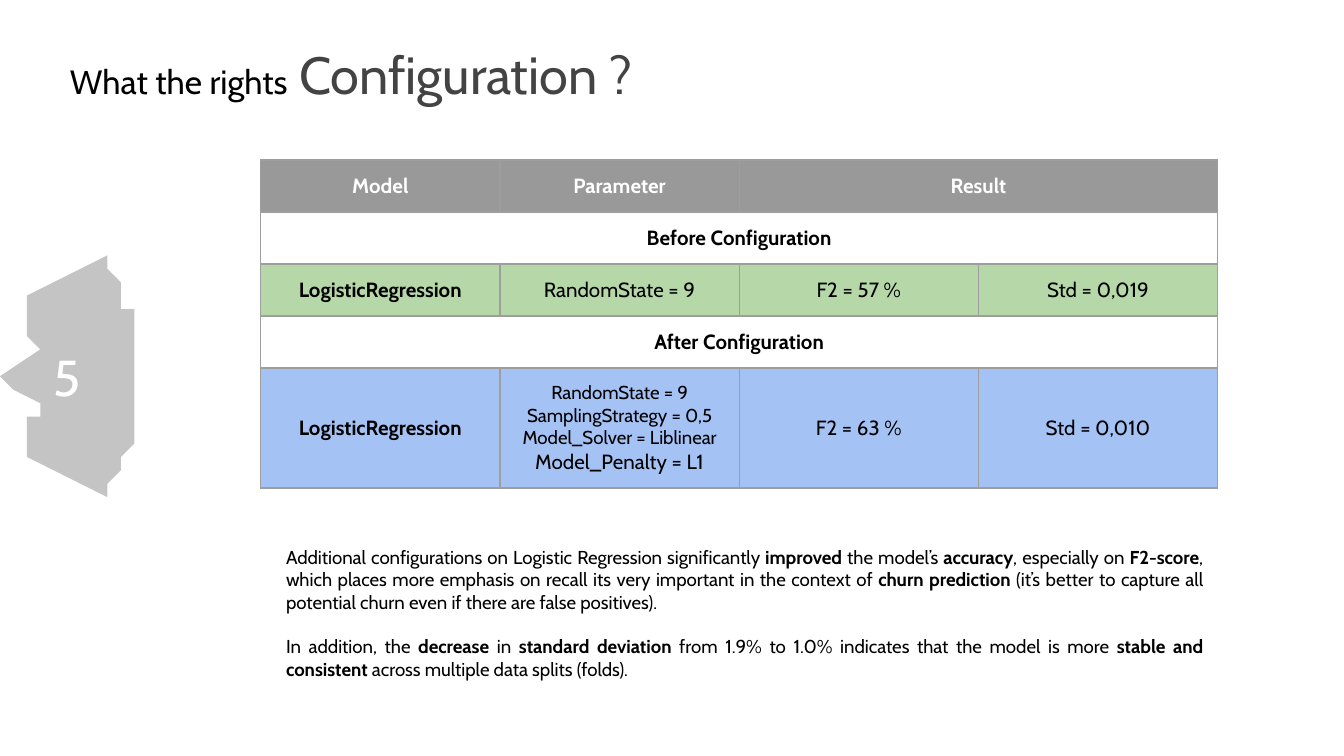
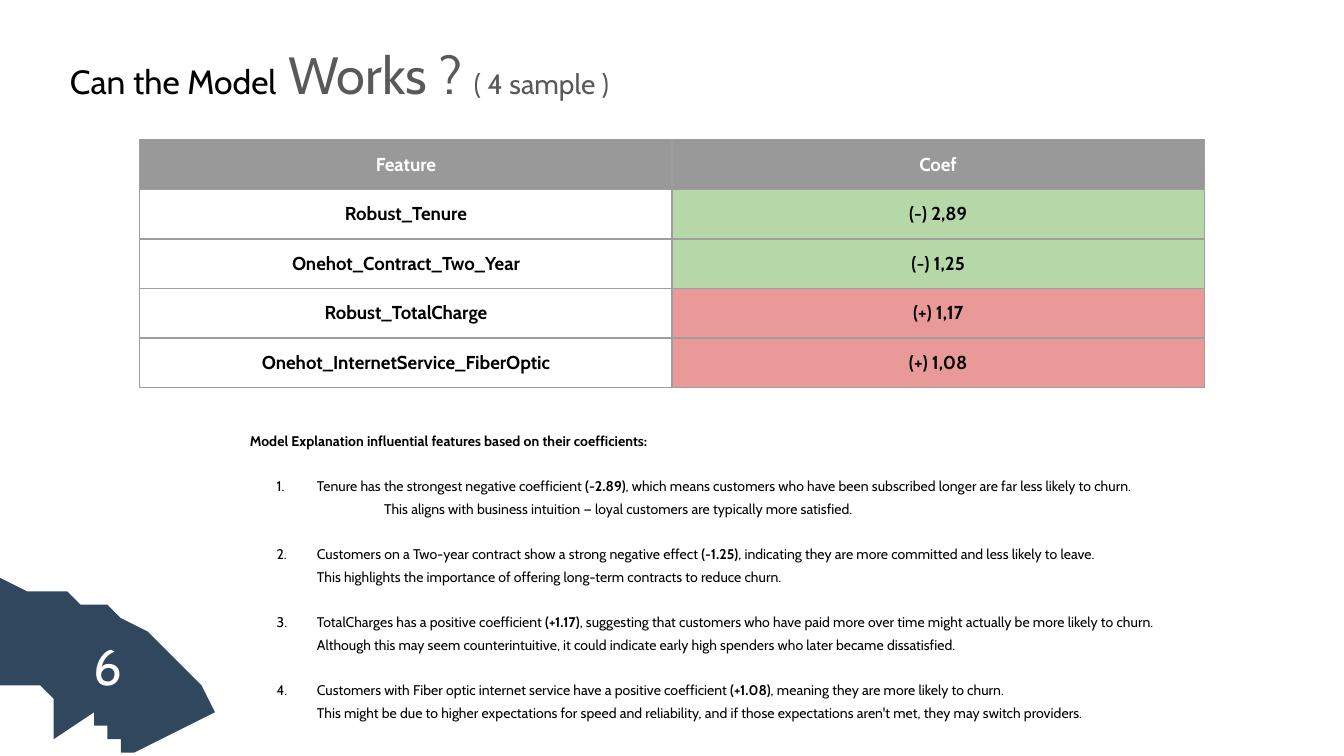
"""Build two slides on churn model configuration and feature coefficients."""

from lxml.etree import SubElement
from pptx import Presentation
from pptx.dml.color import RGBColor
from pptx.enum.text import MSO_ANCHOR, PP_ALIGN
from pptx.oxml.ns import qn
from pptx.util import Inches, Pt

FONT = "Cabin"
BLACK, WHITE, GREY, BORDER = "000000", "FFFFFF", "999999", "9E9E9E"
GREEN, BLUE, RED = "B6D7A8", "A4C2F4", "EA9999"
GRID = Inches(0.1)
TITLE_BOX = (4.2, 2.8, 84.5, 5.3)

SLIDES = [
    {
        "title": [("What the rights", 18, BLACK), (" ", 28, BLACK),
                  ("Configuration ?", 28, "434343")],
        "badge": ("5", "C4C4C4", [
            (7.8, 18.9), (1.6, 22.5), (2.1, 23.5, 2.4, 24.6, 2.6, 25.8),
            (2.8, 26.5), (-0.1, 28.1), (0.8, 28.6), (2.8, 29.8), (2.6, 30.4),
            (2.4, 31.6, 2.1, 32.7, 1.6, 33.8), (7.8, 37.4),
            (9.3, 34.6, 10.1, 31.5, 10.1, 28.1),
            (10.1, 24.8, 9.3, 21.6, 7.8, 18.9)]),
        "table_at": (19.4, 11.9),
        "columns": [17.8] * 4,
        "heights": [3.87] * 4 + [8.9],
        "table_size": 11,
        "rows": [
            (GREY, GREY, ["*Model*", "*Parameter*", "*Result*"]),
            (WHITE, WHITE, ["*Before Configuration*"]),
            (GREEN, GREEN, ["*LogisticRegression*", "RandomState = 9",
                            "F2 = 57 %", "Std = 0,019"]),
            (WHITE, WHITE, ["*After Configuration*"]),
            (BLUE, BLUE, ["*LogisticRegression*",
                          "RandomState = 9\nSamplingStrategy = 0,5\n"
                          "Model_Solver = Liblinear\nModel_Penalty = L1",
                          "F2 = 63 %", "Std = 0,010"]),
        ],
        "notes_box": (20.3, 39.6, 70.2, 13.8),
        "notes_size": 10,
        "notes_spacing": 1.0,
        "notes": [
            ("text", "Additional configurations on Logistic Regression significantly "
             "*improved *the model’s *accuracy*, especially on *F2-score*, which places "
             "more emphasis on recall its very important in the context of *churn "
             "prediction* (it’s better to capture all potential churn even if there "
             "are false positives)."),
            ("text", "In addition, the *decrease *in *standard deviation* from 1.9% to "
             "1.0% indicates that the model is more *stable and consistent* across "
             "multiple data splits (folds)."),
        ],
    },
    {
        "title": [("Can the Model", 18, BLACK), (" ", 28, BLACK),
                  ("Works ? ", 28, "595959"), ("( 4 sample )", 15, "595959")],
        "badge": ("6", "30475E", [
            (0, 43.4), (0, 50.6), (1.2, 50.7, 2.3, 50.9, 3.4, 51.3),
            (4.1, 51.6), (4.1, 54.9), (6.9, 53.2), (7.4, 53.6),
            (7.8, 54, 8.2, 54.3, 8.5, 54.7), (9, 55.2, 9.4, 55.7, 9.8, 56.2),
            (16.1, 52.6), (12.6, 47.3, 6.7, 43.7, 0, 43.4)]),
        "table_at": (10.4, 10.4),
        "columns": [39.6] * 2,
        "heights": [3.69] * 5,
        "table_size": 10,
        "rows": [
            (GREY, GREY, ["*Feature*", "*Coef*"]),
            (WHITE, GREEN, ["*Robust_Tenure*", "*(-) 2,89*"]),
            (WHITE, GREEN, ["*Onehot_Contract_Two_Year*", "*(-) 1,25*"]),
            (WHITE, RED, ["*Robust_TotalCharge*", "*(+) 1,17*"]),
            (WHITE, RED, ["*Onehot_InternetService_FiberOptic*", "*(+) 1,08*"]),
        ],
        "notes_box": (17.6, 30.7, 77.8, 23.8),
        "notes_size": 7.5,
        "notes_spacing": 1.36,
        "notes": [
            ("text", "*Model Explanation influential features based on their coefficients:*"),
            ("number", "Tenure has the strongest negative coefficient *(-2.89)*, which "
             "means customers who have been subscribed longer are far less likely to churn."),
            ("deep", "This aligns with business intuition — loyal customers are "
             "typically more satisfied."),
            ("number", "Customers on a Two-year contract show a strong negative effect"
             "* (-1.25)*, indicating they are more committed and less likely to leave."),
            ("more", "This highlights the importance of offering long-term contracts "
             "to reduce churn."),
            ("number", "TotalCharges has a positive coefficient *(+1.17)*, suggesting that "
             "customers who have paid more over time might actually be more likely to churn."),
            ("more", "Although this may seem counterintuitive, it could indicate early "
             "high spenders who later became dissatisfied."),
            ("number", "Customers with Fiber optic internet service have a positive "
             "coefficient *(+1.08)*, meaning they are more likely to churn."),
            ("more", "This might be due to higher expectations for speed and reliability, "
             "and if those expectations aren't met, they may switch providers."),
        ],
    },
]
INDENTS = {"text": (0, 0), "number": (5, -3), "more": (5, 0), "deep": (10, 0)}


def write(para, text, size, color, align):
    """Fill a paragraph, with text between asterisks in bold."""
    para.alignment = align
    para.font.name, para.font.size = FONT, Pt(size)
    para.font.color.rgb = RGBColor.from_string(color)
    for index, part in enumerate(text.split("*")):
        if part:
            span = para.add_run()
            span.text, span.font.bold = part, index % 2 == 1


def trace(outline, steps=12):
    """Turn corners and cubic curves into a list of points."""
    points = [outline[0]]
    for segment in outline[1:]:
        if len(segment) == 2:
            points.append(segment)
            continue
        xs, ys = [[points[-1][axis], *segment[axis::2]] for axis in (0, 1)]
        for step in range(1, steps + 1):
            t = step / steps
            weights = ((1 - t) ** 3, 3 * t * (1 - t) ** 2, 3 * t * t * (1 - t), t ** 3)
            points.append(tuple(sum(w * v for w, v in zip(weights, values))
                                for values in (xs, ys)))
    return points


deck = Presentation()
deck.slide_width, deck.slide_height = 100 * GRID, int(56.25 * GRID)

for content in SLIDES:
    page = deck.slides.add_slide(deck.slide_layouts[5])

    title = page.shapes.title
    title.left, title.top, title.width, title.height = [int(v * GRID) for v in TITLE_BOX]
    heading = title.text_frame.paragraphs[0]
    heading.alignment = PP_ALIGN.LEFT
    heading.font.name = FONT
    for text, size, color in content["title"]:
        span = heading.add_run()
        span.text, span.font.size = text, Pt(size)
        span.font.color.rgb = RGBColor.from_string(color)

    number, color, outline = content["badge"]
    points = trace(outline)
    builder = page.shapes.build_freeform(*points[0], scale=float(GRID))
    builder.add_line_segments(points[1:], close=True)
    badge = builder.convert_to_shape()
    badge.shadow.inherit = False
    badge.fill.solid()
    badge.fill.fore_color.rgb = RGBColor.from_string(color)
    badge.line.fill.background()
    write(badge.text_frame.paragraphs[0], number, 27, WHITE, PP_ALIGN.CENTER)

    columns, heights = content["columns"], content["heights"]
    place = (*content["table_at"], sum(columns), sum(heights))
    table = page.shapes.add_table(len(heights), len(columns),
                                  *[int(v * GRID) for v in place]).table
    table.first_row = table.horz_banding = False
    for column, width in zip(table.columns, columns):
        column.width = int(width * GRID)
    for row, height in zip(table.rows, heights):
        row.height = int(height * GRID)
    for row, (first_fill, other_fill, texts) in enumerate(content["rows"]):
        for column in range(len(columns)):
            cell = table.cell(row, column)
            cell.vertical_anchor = MSO_ANCHOR.MIDDLE
            cell.margin_left = cell.margin_right = GRID
            cell.margin_top = cell.margin_bottom = GRID
            for side in ("a:lnL", "a:lnR", "a:lnT", "a:lnB"):
                edge = SubElement(cell._tc.get_or_add_tcPr(), qn(side), w=str(Pt(0.75)))
                SubElement(SubElement(edge, qn("a:solidFill")), qn("a:srgbClr"), val=BORDER)
            fill = other_fill if column else first_fill
            cell.fill.solid()
            cell.fill.fore_color.rgb = RGBColor.from_string(fill)
            if column >= len(texts):
                continue
            lines = texts[column].split("\n")
            for index, line in enumerate(lines):
                frame = cell.text_frame
                para = frame.add_paragraph() if index else frame.paragraphs[0]
                size = content["table_size"] if index == len(lines) - 1 else 10
                write(para, line, size, WHITE if fill == GREY else BLACK, PP_ALIGN.CENTER)
        if len(texts) < len(columns):
            table.cell(row, len(texts) - 1).merge(table.cell(row, len(columns) - 1))

    notes = page.shapes.add_textbox(*[int(v * GRID) for v in content["notes_box"]])
    count = 0
    for index, (kind, text) in enumerate(content["notes"]):
        frame = notes.text_frame
        para = frame.add_paragraph() if index else frame.paragraphs[0]
        para.line_spacing = content["notes_spacing"]
        if index and kind in ("text", "number"):
            para.space_before = Pt(12)
        properties = para._p.get_or_add_pPr()
        margin, indent = INDENTS[kind]
        properties.set("marL", str(margin * GRID))
        properties.set("indent", str(indent * GRID))
        if kind == "number":
            count += 1
            SubElement(properties, qn("a:buFont"), typeface=FONT)
            SubElement(properties, qn("a:buAutoNum"), type="arabicPeriod", startAt=str(count))
        write(para, text, content["notes_size"], BLACK, PP_ALIGN.JUSTIFY)

    for shape in (title, badge, notes):
        frame = shape.text_frame
        frame.word_wrap = True
        frame.margin_left = frame.margin_right = GRID
        frame.margin_top = frame.margin_bottom = GRID
        frame.vertical_anchor = MSO_ANCHOR.TOP if shape is notes else MSO_ANCHOR.MIDDLE

deck.save("out.pptx")
